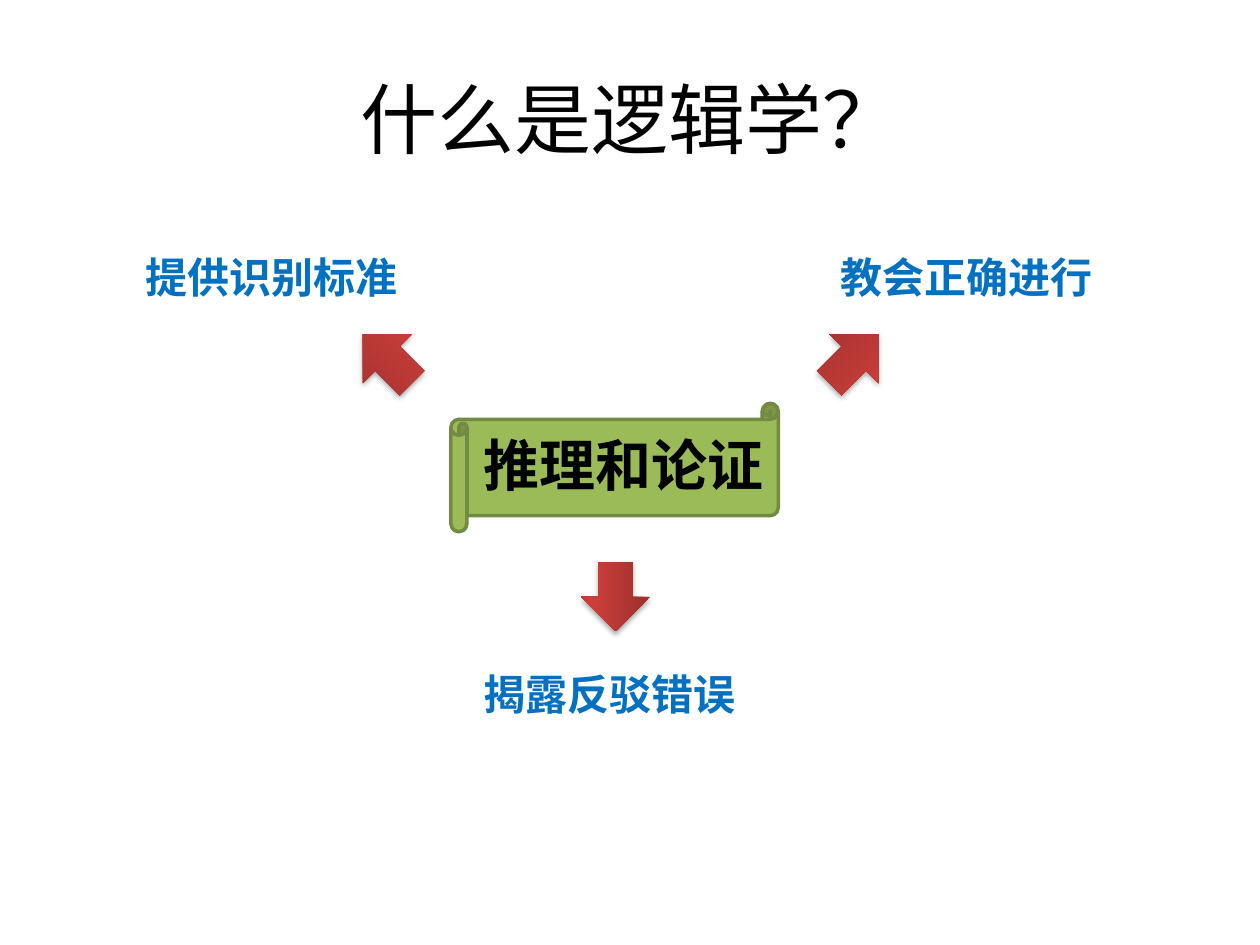
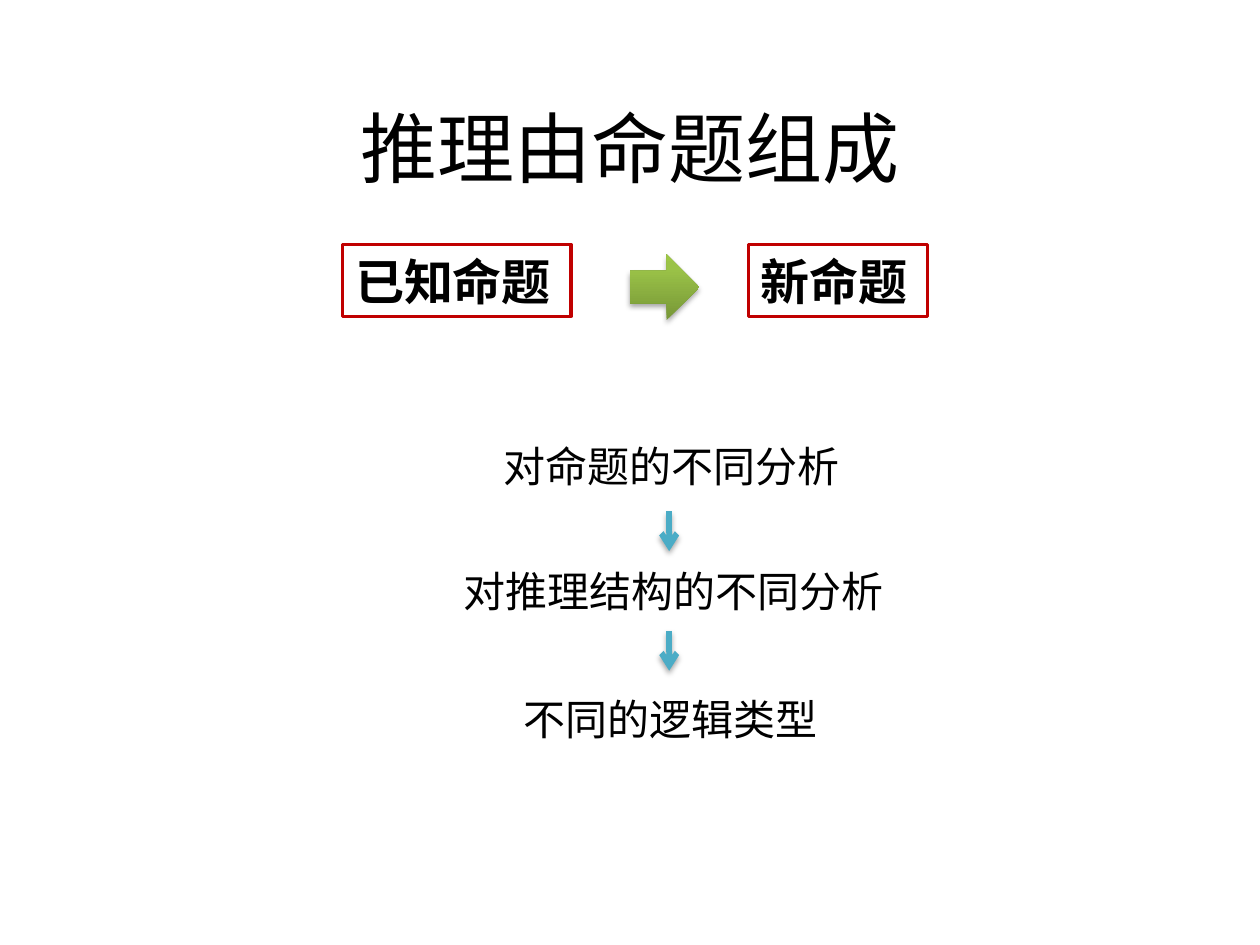
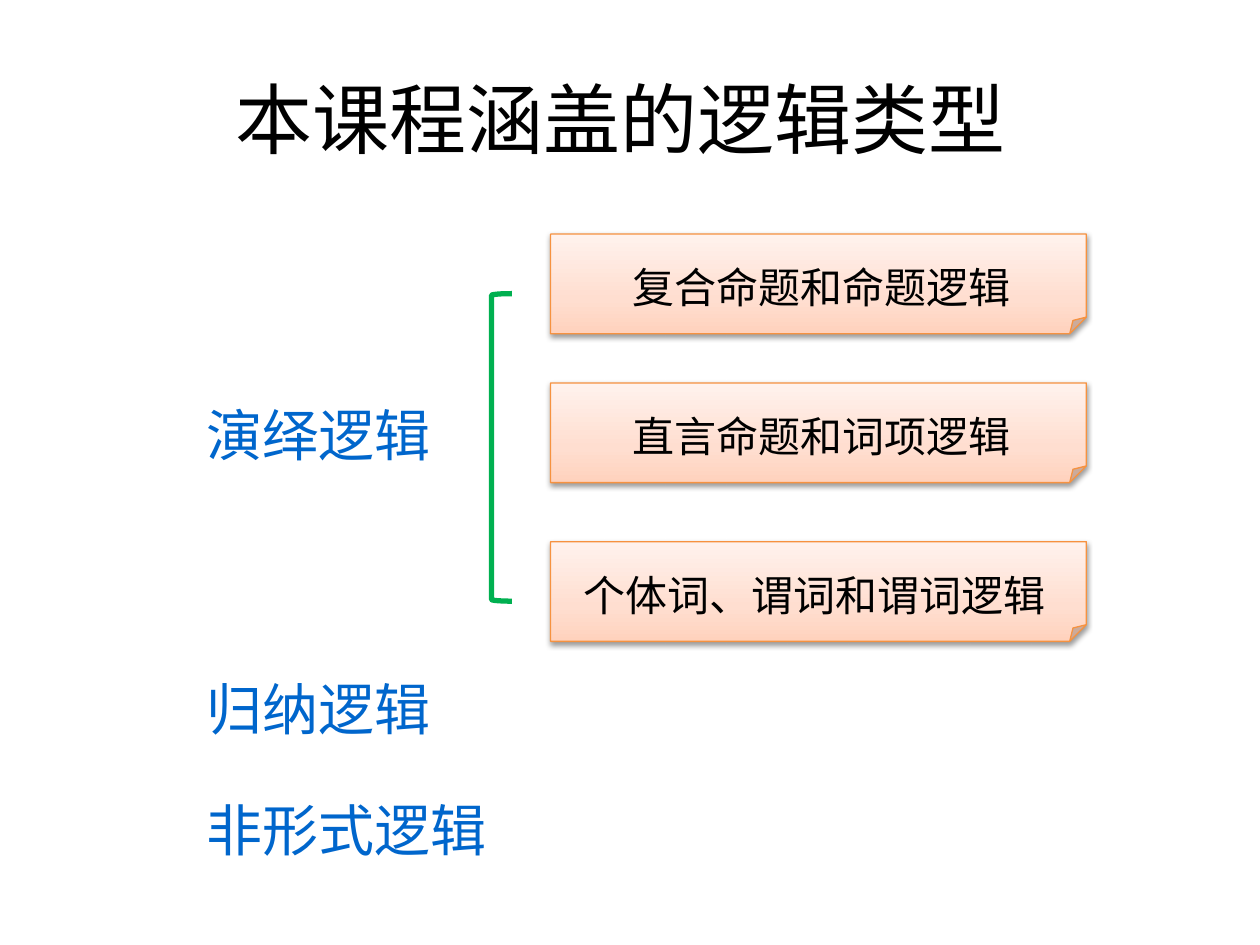
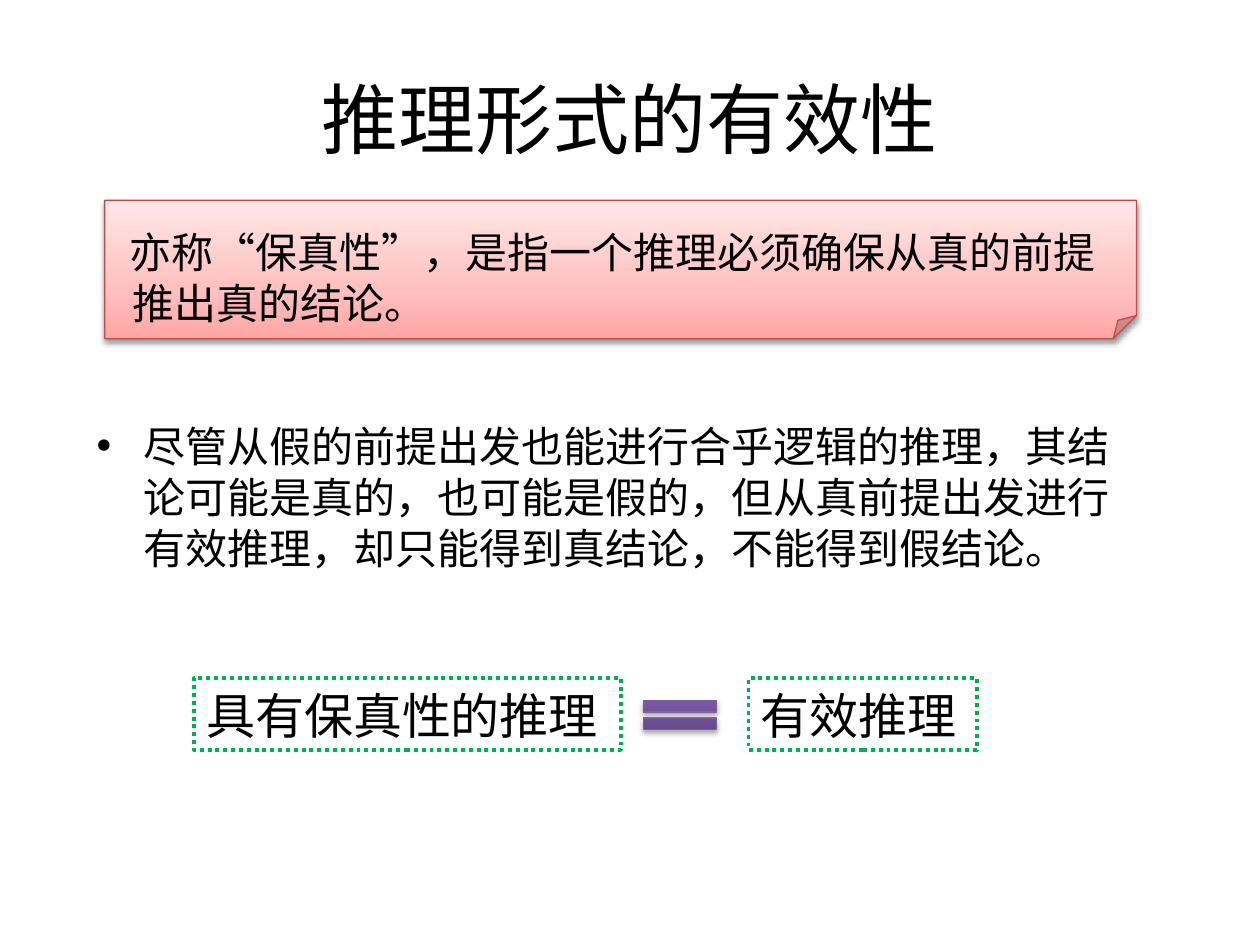
from dataclasses import dataclass
from typing import Optional

from lxml.etree import SubElement
from pptx import Presentation
from pptx.dml.color import RGBColor
from pptx.enum.dml import MSO_LINE
from pptx.enum.lang import MSO_LANGUAGE_ID
from pptx.enum.shapes import MSO_CONNECTOR, MSO_SHAPE
from pptx.enum.text import MSO_ANCHOR, PP_ALIGN
from pptx.oxml import parse_xml
from pptx.oxml.ns import nsdecls, qn
from pptx.util import Cm, Pt

# Shared look
SANS = "Noto Sans CJK JP"
SANS_SC = "Noto Sans CJK SC"
BLACK, WHITE = "000000", "FFFFFF"
BLUE, LINK_BLUE = "0070C0", "0066CC"
RED, GREEN, TEAL = "C00000", "00B050", "4BACC6"
LINE_HEIGHT = 1.22


@dataclass(frozen=True)
class Box:
    """A rectangle in centimetres."""
    left: float
    top: float
    width: float
    height: float

    def lengths(self) -> tuple:
        return Cm(self.left), Cm(self.top), Cm(self.width), Cm(self.height)


@dataclass(frozen=True)
class TextStyle:
    size: float
    font: str = SANS_SC
    color: str = BLACK
    bold: bool = False


@dataclass(frozen=True)
class Shadow:
    opacity: int
    blur: float
    distance: float


@dataclass(frozen=True)
class ShapeStyle:
    fill: Optional[str] = None
    gradient: tuple = ()
    line: Optional[str] = None
    line_width: float = 0.75
    dash: Optional[MSO_LINE] = None
    shadow: Optional[Shadow] = None


TITLE = TextStyle(44, SANS)
NOTE = TextStyle(24)
STEP = TextStyle(24, SANS)
AIM = TextStyle(24, color=BLUE, bold=True)
BRANCH = TextStyle(32, SANS, LINK_BLUE)

STRONG_SHADOW = Shadow(35, 3.1, 1.8)
CARD_SHADOW = Shadow(38, 3.1, 1.6)
SCROLL = ShapeStyle(fill="9BBB59", line="738A42", line_width=2)
RED_ARROW = ShapeStyle(
    gradient=((0, "9C2F2D"), (80, "CB3E3A"), (100, "CE3B37")), shadow=STRONG_SHADOW)
GREEN_ARROW = ShapeStyle(
    gradient=((0, "779737"), (80, "9BC348"), (100, "9DC746")), shadow=STRONG_SHADOW)
PURPLE_SIGN = ShapeStyle(
    gradient=((0, "5F4480"), (80, "7B58A6"), (100, "7C57A8")),
    line="7D60A0", shadow=STRONG_SHADOW)
ORANGE_CARD = ShapeStyle(
    gradient=((0, "FFD2BD"), (35, "FFDED0"), (100, "FFF2ED")),
    line="F69240", shadow=CARD_SHADOW)
PINK_CARD = ShapeStyle(
    gradient=((0, "FFA6A5"), (35, "FFC0BF"), (100, "FFE7E7")),
    line="BF4C48", shadow=CARD_SHADOW)
RED_FRAME = ShapeStyle(line=RED, line_width=2)
DOTTED_FRAME = ShapeStyle(
    fill=WHITE, line=GREEN, line_width=2.25, dash=MSO_LINE.ROUND_DOT)
BRACKET = ShapeStyle(line=GREEN, line_width=3)


def rgb(color: str) -> RGBColor:
    return RGBColor.from_string(color)


def set_effects(shape, shadow: Optional[Shadow]) -> None:
    """Replace the theme's shadow by the given one, or by none."""
    properties = shape._element.spPr
    for old in properties.findall(qn("a:effectLst")):
        properties.remove(old)
    effects = SubElement(properties, qn("a:effectLst"))
    if shadow:
        outer = SubElement(
            effects, qn("a:outerShdw"), blurRad=str(Pt(shadow.blur)),
            dist=str(Pt(shadow.distance)), dir="5400000", rotWithShape="0")
        color = SubElement(outer, qn("a:srgbClr"), val=BLACK)
        SubElement(color, qn("a:alpha"), val=str(shadow.opacity * 1000))


def set_gradient(shape, stops: tuple) -> None:
    """Fill from bottom to top."""
    stop_xml = "".join(
        f'<a:gs pos="{position * 1000}"><a:srgbClr val="{color}"/></a:gs>'
        for position, color in stops)
    gradient = parse_xml(
        f'<a:gradFill {nsdecls("a")} rotWithShape="1"><a:gsLst>{stop_xml}</a:gsLst>'
        '<a:lin ang="16200000" scaled="0"/></a:gradFill>')
    shape._element.spPr.find(qn("a:prstGeom")).addnext(gradient)


def write_text(shape, text: str, style: TextStyle):
    """Set one paragraph, format it and return it."""
    frame = shape.text_frame
    frame.text = text
    frame.word_wrap = True
    frame.vertical_anchor = MSO_ANCHOR.TOP
    paragraph = frame.paragraphs[0]
    paragraph.alignment = PP_ALIGN.LEFT
    paragraph.line_spacing = Pt(style.size * LINE_HEIGHT)
    for run in paragraph.runs:
        run.font.size = Pt(style.size)
        run.font.bold = style.bold
        run.font.name = style.font
        run.font.color.rgb = rgb(style.color)
        run.font.language_id = MSO_LANGUAGE_ID.SIMPLIFIED_CHINESE
        latin = run._r.rPr.find(qn("a:latin"))
        latin.addnext(parse_xml(f'<a:ea {nsdecls("a")} typeface="{style.font}"/>'))
    return paragraph


def add_text(slide, box: Box, text: str, style: TextStyle):
    return write_text(slide.shapes.add_textbox(*box.lengths()), text, style)


def add_title(slide, text: str, top: float = 0.76) -> None:
    shape = slide.shapes.add_textbox(*Box(1.27, top, 22.86, 3.18).lengths())
    write_text(shape, text, TITLE).alignment = PP_ALIGN.CENTER
    shape.text_frame.vertical_anchor = MSO_ANCHOR.MIDDLE


def add_shape(slide, kind: MSO_SHAPE, box: Box, style: ShapeStyle, rotation: float = 0):
    shape = slide.shapes.add_shape(kind, *box.lengths())
    shape.rotation = rotation
    if style.gradient:
        set_gradient(shape, style.gradient)
    elif style.fill:
        shape.fill.solid()
        shape.fill.fore_color.rgb = rgb(style.fill)
    else:
        shape.fill.background()
    if style.line:
        shape.line.color.rgb = rgb(style.line)
        shape.line.width = Pt(style.line_width)
        if style.dash:
            shape.line.dash_style = style.dash
    else:
        shape.line.fill.background()
    set_effects(shape, style.shadow)
    return shape


def add_frame(slide, box: Box, text: str, style: ShapeStyle, bold: bool) -> None:
    shape = add_shape(slide, MSO_SHAPE.RECTANGLE, box, style)
    write_text(shape, text, TextStyle(28, bold=bold))


def add_down_arrow(slide, x: float, top: float, length: float) -> None:
    connector = slide.shapes.add_connector(
        MSO_CONNECTOR.STRAIGHT, Cm(x), Cm(top), Cm(x), Cm(top + length))
    connector.line.color.rgb = rgb(TEAL)
    connector.line.width = Pt(3.25)
    SubElement(connector.line._get_or_add_ln(), qn("a:tailEnd"), type="arrow")
    set_effects(connector, STRONG_SHADOW)


def set_indent(paragraph, margin: float, first_line: float) -> None:
    properties = paragraph._p.get_or_add_pPr()
    properties.set("marL", str(Cm(margin)))
    properties.set("indent", str(Cm(first_line)))


def build_what_is_logic(slide) -> None:
    add_title(slide, "什么是逻辑学？")
    add_shape(slide, MSO_SHAPE.HORIZONTAL_SCROLL, Box(9.09, 8.13, 6.6, 2.59), SCROLL)
    add_text(slide, Box(9.5, 8.53, 8.79, 1.63), "推理和论证", TextStyle(32, bold=True))
    for left, top, rotation in ((7.11, 6.53, 45), (16.51, 6.53, 135), (11.71, 11.33, 270)):
        add_shape(slide, MSO_SHAPE.LEFT_ARROW, Box(left, top, 1.4, 1.4), RED_ARROW, rotation)
    for left, top, width, text in (
            (2.69, 4.93, 6.4, "提供识别标准"),
            (16.69, 4.93, 5.65, "教会正确进行"),
            (9.5, 13.34, 6, "揭露反驳错误")):
        add_text(slide, Box(left, top, width, 1.27), text, AIM)


def build_propositions(slide) -> None:
    add_title(slide, "推理由命题组成", top=1.35)
    add_frame(slide, Box(6.91, 4.93, 4.6, 1.45), "已知命题", RED_FRAME, bold=True)
    add_shape(slide, MSO_SHAPE.RIGHT_ARROW, Box(12.7, 5.13, 1.4, 1.32), GREEN_ARROW)
    add_frame(slide, Box(15.09, 4.93, 3.61, 1.45), "新命题", RED_FRAME, bold=True)
    for left, top, width, text in (
            (9.91, 8.74, 7.8, "对命题的不同分析"),
            (9.09, 11.25, 9, "对推理结构的不同分析"),
            (10.31, 13.84, 6.81, "不同的逻辑类型")):
        add_text(slide, Box(left, top, width, 1.27), text, STEP)
    for top in (10.31, 12.72):
        add_down_arrow(slide, 13.49, top, 0.8)


def build_logic_types(slide) -> None:
    add_title(slide, "本课程涵盖的逻辑类型 ")
    # Deductive logic and its three parts
    for top, text_left, text_width, text in (
            (4.72, 12.5, 8.79, "复合命题和命题逻辑"),
            (7.72, 12.5, 8.79, "直言命题和词项逻辑"),
            (10.92, 11.51, 10.39, "个体词、谓词和谓词逻辑")):
        add_shape(slide, MSO_SHAPE.FOLDED_CORNER, Box(11.1, top, 10.8, 2.01), ORANGE_CARD)
        add_text(slide, Box(text_left, top + 0.41, text_width, 1.27), text, NOTE)
    add_shape(slide, MSO_SHAPE.LEFT_BRACKET, Box(9.91, 5.92, 0.41, 6.2), BRACKET)
    # Main branches
    for top, width, text in (
            (7.92, 5.21, "演绎逻辑"), (13.46, 5.21, "归纳逻辑"), (15.9, 6.4, "非形式逻辑")):
        add_text(slide, Box(3.91, top, width, 1.63), text, BRANCH)


def build_validity(slide) -> None:
    add_title(slide, "推理形式的有效性")
    explanation = add_text(
        slide, Box(1.7, 8.33, 21.41, 3.81),
        "尽管从假的前提出发也能进行合乎逻辑的推理，其结论可能是真的，也可能是假的，"
        "但从真前提出发进行有效推理，却只能得到真结论，不能得到假结论。", NOTE)
    set_indent(explanation, 0.95, -0.95)
    properties = explanation._p.get_or_add_pPr()
    SubElement(properties, qn("a:buFont"), typeface="Arial")
    SubElement(properties, qn("a:buChar"), char="•")
    # Definition card
    add_shape(slide, MSO_SHAPE.FOLDED_CORNER, Box(2.11, 4.04, 20.8, 2.79), PINK_CARD)
    definition = add_text(
        slide, Box(1.47, 4.42, 21.23, 3),
        "亦称“保真性”，是指一个推理必须确保从真的前提推出真的结论。", NOTE)
    set_indent(definition, 0.95, -0.06)
    # Equation
    add_frame(slide, Box(15.09, 13.67, 4.6, 1.45), "有效推理", DOTTED_FRAME, bold=False)
    add_frame(slide, Box(3.91, 13.67, 8.61, 1.45), "具有保真性的推理", DOTTED_FRAME, bold=False)
    add_shape(slide, MSO_SHAPE.MATH_EQUAL, Box(12.7, 13.92, 2.01, 0.99), PURPLE_SIGN)


presentation = Presentation()
presentation.slide_width, presentation.slide_height = Cm(25.4), Cm(19.05)
for build in (build_what_is_logic, build_propositions, build_logic_types, build_validity):
    build(presentation.slides.add_slide(presentation.slide_layouts[6]))
presentation.save("out.pptx")
